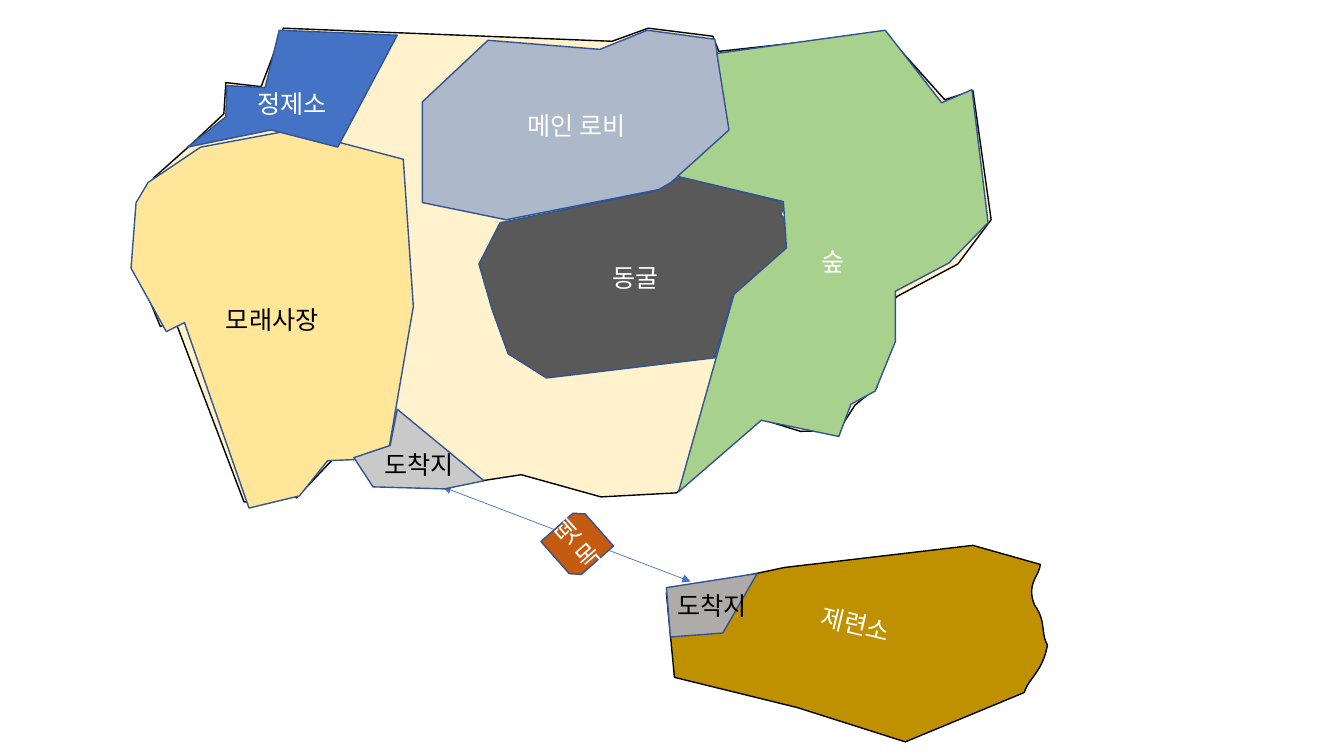
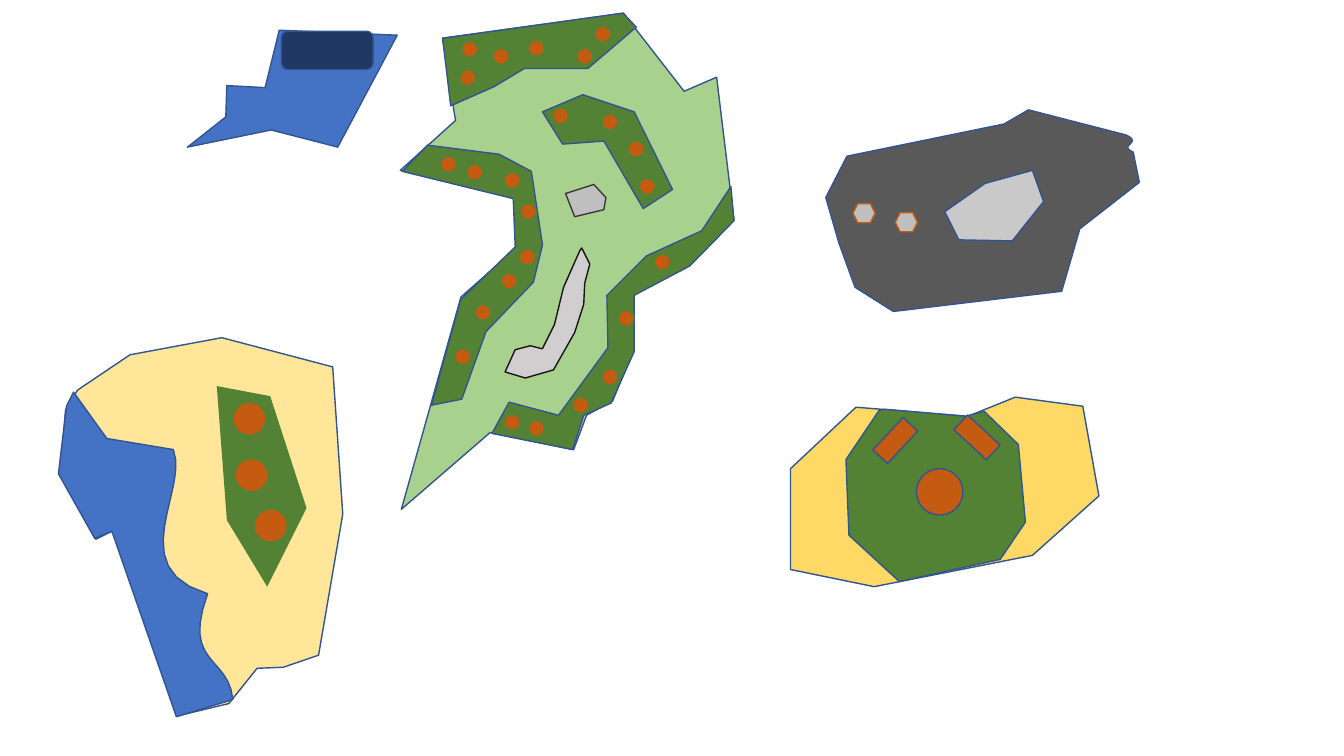
"""Two map slides: an island overview and its zones in detail."""
import math

import pptx
import pptx.dml.color
import pptx.enum.shapes
import pptx.enum.text
import pptx.oxml
import pptx.oxml.ns
import pptx.util

Inches = pptx.util.Inches
KIND = pptx.enum.shapes.MSO_SHAPE
FONT = "Noto Sans CJK KR"
COLORS = {
    "white": "FFFFFF", "black": "000000", "edge": "325491", "land": "FFF2CC",
    "ore": "BF9000", "lobby": "ADB9CA", "cave": "595959", "sand": "FFE699",
    "forest": "A9D18E", "blue": "4472C4", "dock": "C9C9C9", "pier": "AFABAB",
    "rust": "C55A11", "floor": "FFD966", "grove": "548235", "stone": "BFBFBF",
    "dark": "3B3838", "ridge": "D0CECE", "ink": "181717", "navy": "203864",
}

# Outlines in inches; an entry of six numbers is a Bezier curve.
LAND = [
    (2.81, 0.28), (2.59, 0.86), (2.24, 0.82), (2.22, 1.13), (1.9, 1.43),
    (1.53, 1.76), (1.37, 2.02), (1.34, 2.63), (1.59, 3.24), (1.74, 3.19),
    (2.42, 4.98), (2.62, 4.98), (2.74, 4.74), (2.94, 4.94), (3.44, 4.41),
    (3.7, 4.81), (4.39, 4.83), (5.17, 4.71), (5.96, 4.93), (6.71, 4.89),
    (7.52, 4.15), (7.94, 4.28), (8.32, 4.27), (8.48, 4.02), (8.7, 3.84),
    (8.74, 3.25), (8.86, 3.16, 8.78, 3.04, 8.9, 2.94), (9.5, 2.62),
    (9.83, 2.18), (9.65, 0.9), (9.37, 0.99), (8.78, 0.33), (7.13, 0.51),
    (7.07, 0.36), (6.43, 0.28), (6.07, 0.41)]
SMELTER = [
    (6.61, 5.88), (6.69, 6.72), (7.91, 7.02), (8.98, 7.36), (10.16, 6.87),
    (10.2, 6.73, 10.34, 6.67, 10.39, 6.4),
    (10.32, 6.28, 10.38, 6.16, 10.26, 6),
    (10.18, 5.79, 10.3, 5.73, 10.32, 5.6), (9.65, 5.41), (7.78, 5.63)]
LOBBY = [
    (4.84, 0.4), (4.19, 1.01), (4.19, 2.01), (5.02, 2.18), (6.59, 1.87),
    (7.25, 1.28), (7.09, 0.39), (6.42, 0.3), (5.95, 0.49)]
CAVE = [
    (4.96, 2.21), (4.75, 2.62), (4.88, 3.07), (5.04, 3.51), (5.42, 3.75),
    (7.09, 3.55), (7.27, 2.93), (7.86, 2.47), (7.8, 2.17),
    (7.64, 2.1, 7.9, 2.08, 7.73, 2), (6.76, 1.75), (6.52, 1.89)]
BEACH = [
    (1.83, 3.2), (2.47, 5.04), (2.97, 4.92), (3.25, 4.57), (3.51, 4.56),
    (3.86, 4.44), (4.1, 3.04), (4, 1.58), (2.9, 1.29), (1.99, 1.46),
    (1.47, 1.81), (1.35, 2.01), (1.3, 2.66), (1.65, 3.29)]
FOREST = [
    (7.11, 0.53), (7.23, 1.29), (6.72, 1.75), (7.77, 2), (7.8, 2.46),
    (7.28, 2.92), (6.73, 4.88), (7.55, 4.17), (8.32, 4.33), (8.44, 4.01),
    (8.68, 3.88), (8.88, 3.39), (8.88, 2.89), (9.41, 2.61), (9.8, 2.21),
    (9.64, 0.89), (9.34, 1.02), (8.78, 0.3)]
PLANT = [
    (3.94, 0.35), (3.35, 1.46), (2.69, 1.29), (1.86, 1.46), (2.24, 1.16),
    (2.25, 0.85), (2.63, 0.87), (2.77, 0.3)]
DOCK = [(3.94, 4.06), (4.8, 4.77), (4.41, 4.85), (3.7, 4.83),
        (3.51, 4.54), (3.87, 4.42)]
PIER = [(7.51, 5.69), (7.17, 6.28), (6.65, 6.32), (6.61, 5.83)]
LAWN = [
    (8.72, 4.07), (8.39, 4.56), (8.42, 5.31), (8.92, 5.77), (9.92, 5.55),
    (10.17, 5.18), (10.1, 4.41), (9.76, 4.08), (9.58, 4.13), (8.77, 4.06)]
GROVES = [
    [(4.47, 1.05), (4.9, 0.86), (5.2, 0.68), (5.83, 0.68), (6.31, 0.27),
     (6.18, 0.13), (4.39, 0.38)],
    [(5.38, 1.11), (5.58, 1.43), (5.99, 1.4), (6.38, 2.07), (6.67, 1.88),
     (6.29, 1.11), (5.78, 0.94)],
    [(4.88, 4.3), (5.05, 3.99), (5.54, 4.12), (6.03, 3.45), (6.02, 2.93),
     (6.41, 2.54), (6.96, 2.29), (7.25, 1.85), (7.28, 2.19), (6.84, 2.64),
     (6.29, 2.93), (6.29, 3.49), (6.06, 4), (5.79, 4.12), (5.68, 4.46)],
    [(4.24, 1.44), (4.95, 1.53), (5.27, 1.7), (5.38, 2.43), (5.29, 2.8),
     (4.82, 3.29), (4.58, 3.96), (4.28, 4.02), (4.57, 2.97), (5.11, 2.45),
     (5.09, 1.97), (3.99, 1.7)]]
TREES = [
    (4.37, 1.55), (4.63, 1.63), (5, 1.71), (5.16, 2.02), (5.15, 2.47),
    (4.97, 2.71), (4.71, 3.02), (4.51, 3.46), (4.56, 0.69), (4.58, 0.41),
    (4.89, 0.48), (5.24, 0.4), (5.72, 0.48), (5.9, 0.26), (5.48, 1.07),
    (5.97, 1.13), (6.23, 1.4), (6.34, 1.77), (6.49, 2.52), (6.13, 3.08),
    (5.97, 3.66), (5.68, 3.94), (5.24, 4.17), (5, 4.11)]
ROCK = [(5.61, 1.92), (5.7, 2.15), (5.99, 2.08), (6.01, 1.96), (5.89, 1.83)]
RIDGE = [
    (5.77, 2.46), (5.85, 2.62), (5.8, 2.81), (5.79, 3.02), (5.7, 3.3),
    (5.49, 3.67), (5.21, 3.75), (5.01, 3.69), (5.11, 3.47), (5.26, 3.43),
    (5.38, 3.46), (5.5, 3.22), (5.59, 2.85), (5.75, 2.49)]
SEA = [
    (0.73, 3.89), (1.06, 4.35), (1.72, 4.46),
    (1.88, 4.85, 1.21, 5.64, 2.06, 5.89), (1.8, 6.6, 2.27, 6.5, 2.31, 6.94),
    (1.75, 7.11), (1.11, 5.27), (0.94, 5.34), (0.58, 4.7), (0.66, 4.03)]
PALMS = [(2.15, 3.83), (2.25, 5.16), (2.65, 5.82), (3.04, 5.04), (2.68, 3.93)]
SLAB = [(9.77, 1.82), (9.37, 2.1), (9.51, 2.38), (10.04, 2.39),
        (10.35, 2), (10.24, 1.69)]


def rgb(name):
    """Return the named colour."""
    return pptx.dml.color.RGBColor.from_string(COLORS[name])


def style(shape, fill, line="edge"):
    """Set fill and outline, and drop the shadow."""
    shape.shadow.inherit = False
    shape.fill.solid()
    shape.fill.fore_color.rgb = rgb(fill)
    if line:
        shape.line.color.rgb = rgb(line)
        shape.line.width = pptx.util.Pt(1)
    else:
        shape.line.fill.background()
    return shape


def label(shape, text, color="white", drop=0):
    """Centre a label in a shape, with extra inset above it."""
    frame = shape.text_frame
    frame.word_wrap = True
    frame.vertical_anchor = pptx.enum.text.MSO_ANCHOR.MIDDLE
    frame.margin_top = Inches(0.05 + drop)
    par = frame.paragraphs[0]
    par.text = text
    par.alignment = pptx.enum.text.PP_ALIGN.CENTER
    par.font.size = pptx.util.Pt(18)
    par.font.name = FONT
    par.font.color.rgb = rgb(color)
    props = par._p.get_or_add_pPr().get_or_add_defRPr()
    east = pptx.oxml.parse_xml(
        f'<a:ea {pptx.oxml.ns.nsdecls("a")} typeface="{FONT}"/>')
    props.append(east)


def trace(outline, steps=12):
    """Turn an outline with curves into plain points."""
    points = []
    for node in outline:
        if len(node) == 2:
            points.append(node)
            continue
        knots = [points[-1], node[:2], node[2:4], node[4:]]
        for step in range(1, steps + 1):
            t = step / steps
            parts = [math.comb(3, i) * t**i * (1 - t)**(3 - i)
                     for i in range(4)]
            points.append(tuple(sum(part * knot[axis] for part, knot
                                    in zip(parts, knots)) for axis in (0, 1)))
    return points


def turn(points, angle, center):
    """Turn points clockwise around a centre."""
    cos, sin = math.cos(math.radians(angle)), math.sin(math.radians(angle))
    cx, cy = center
    return [(cx + (x - cx) * cos - (y - cy) * sin,
             cy + (x - cx) * sin + (y - cy) * cos) for x, y in points]


def zone(shapes, outline, fill, line="edge", move=(0, 0), scale=1):
    """Draw a closed outline, scaled and then moved."""
    points = [(Inches(x * scale + move[0]), Inches(y * scale + move[1]))
              for x, y in trace(outline)]
    pen = shapes.build_freeform(*points[0])
    pen.add_line_segments(points[1:], close=True)
    return style(pen.convert_to_shape(), fill, line)


def block(shapes, kind, box, fill, line="edge", angle=0):
    """Draw a preset shape in a box of left, top, width and height."""
    shape = shapes.add_shape(kind, *map(Inches, box))
    shape.rotation = angle
    return style(shape, fill, line)


def spots(shapes, kind, places, size, fill, line):
    """Repeat one small shape at many places."""
    for place in places:
        block(shapes, kind, place + size, fill, line)


def route(shapes, start, end):
    """Draw a thin line with an arrowhead at both ends."""
    link = shapes.add_connector(pptx.enum.shapes.MSO_CONNECTOR.STRAIGHT,
                                *map(Inches, start + end))
    link.line.color.rgb = rgb("blue")
    link.line.width = pptx.util.Pt(0.5)
    space = pptx.oxml.ns.nsdecls("a")
    for tag in ("headEnd", "tailEnd"):
        link.line._get_or_add_ln().append(
            pptx.oxml.parse_xml(f'<a:{tag} {space} type="triangle"/>'))
    link._element.spPr.append(pptx.oxml.parse_xml(f'<a:effectLst {space}/>'))


def island(shapes):
    """Draw the overview map."""
    zone(shapes, LAND, "land", "black")
    tilt = 13.5
    level = turn(trace(SMELTER), -tilt, (8.49, 6.19))
    smelter = zone(shapes, level, "ore", "black")
    smelter.rotation = tilt
    label(smelter, "제련소")
    for outline, fill, text, color in (
            (LOBBY, "lobby", "메인 로비", "white"),
            (CAVE, "cave", "동굴", "white"),
            (BEACH, "sand", "모래사장", "black"),
            (FOREST, "forest", "숲", "white")):
        label(zone(shapes, outline, fill), text, color)
    route(shapes, (4.39, 4.83), (6.85, 5.77))
    label(zone(shapes, PLANT, "blue"), "정제소", drop=0.3)
    label(zone(shapes, DOCK, "dock"), "도착지", "black", drop=0.3)
    label(zone(shapes, PIER, "pier"), "도착지", "black")
    raft = block(shapes, KIND.SNIP_2_DIAG_RECTANGLE,
                 (5.47, 5.14, 0.51, 0.51), "rust", angle=318.6)
    label(raft, "뗏목")


def lobby(shapes):
    """Draw the lobby in detail."""
    zone(shapes, LOBBY, "floor", move=(3.65, 3.64))
    zone(shapes, LAWN, "grove")


def forest(shapes):
    """Draw the forest with its groves, trees and rocks."""
    zone(shapes, FOREST, "forest", move=(-3.25, -0.19), scale=1.0745)
    for grove in GROVES:
        zone(shapes, grove, "grove")
    spots(shapes, KIND.OVAL, TREES, (0.16, 0.16), "rust", "grove")
    zone(shapes, ROCK, "stone", "dark")
    zone(shapes, RIDGE, "ridge", "ink")


def seats(shapes):
    """Draw the two benches and the round table of the lobby."""
    block(shapes, KIND.RECTANGLE, (8.66, 4.27, 0.44, 0.2), "rust", angle=313.2)
    block(shapes, KIND.RECTANGLE, (9.47, 4.24, 0.44, 0.2), "rust", angle=42.7)
    block(shapes, KIND.OVAL, (9.09, 4.65, 0.46, 0.46), "rust")


def beach(shapes):
    """Draw the beach with its sea and palms."""
    zone(shapes, BEACH, "sand", move=(-0.7, 2.06))
    zone(shapes, SEA, "blue")
    zone(shapes, PALMS, "grove", None)
    spots(shapes, KIND.OVAL, [(2.31, 3.99), (2.33, 4.55), (2.52, 5.05)],
          (0.33, 0.33), "rust", "grove")


def cave(shapes):
    """Draw the cave with its stones."""
    zone(shapes, CAVE, "cave", move=(3.44, -0.66))
    zone(shapes, SLAB, "dock")
    spots(shapes, KIND.HEXAGON, [(8.88, 2.11), (8.46, 2.02)],
          (0.22, 0.19), "stone", "rust")


def plant(shapes):
    """Draw the refinery with its tank."""
    zone(shapes, PLANT, "blue")
    block(shapes, KIND.ROUNDED_RECTANGLE, (2.79, 0.31, 0.91, 0.38), "navy")


def main():
    """Build both slides and save the deck."""
    deck = pptx.Presentation()
    deck.slide_width, deck.slide_height = Inches(13.33), Inches(7.5)
    blank = deck.slide_layouts[6]
    island(deck.slides.add_slide(blank).shapes)
    shapes = deck.slides.add_slide(blank).shapes
    lobby(shapes)
    forest(shapes.add_group_shape().shapes)
    seats(shapes)
    beach(shapes.add_group_shape().shapes)
    cave(shapes.add_group_shape().shapes)
    plant(shapes)
    deck.save("out.pptx")


main()
